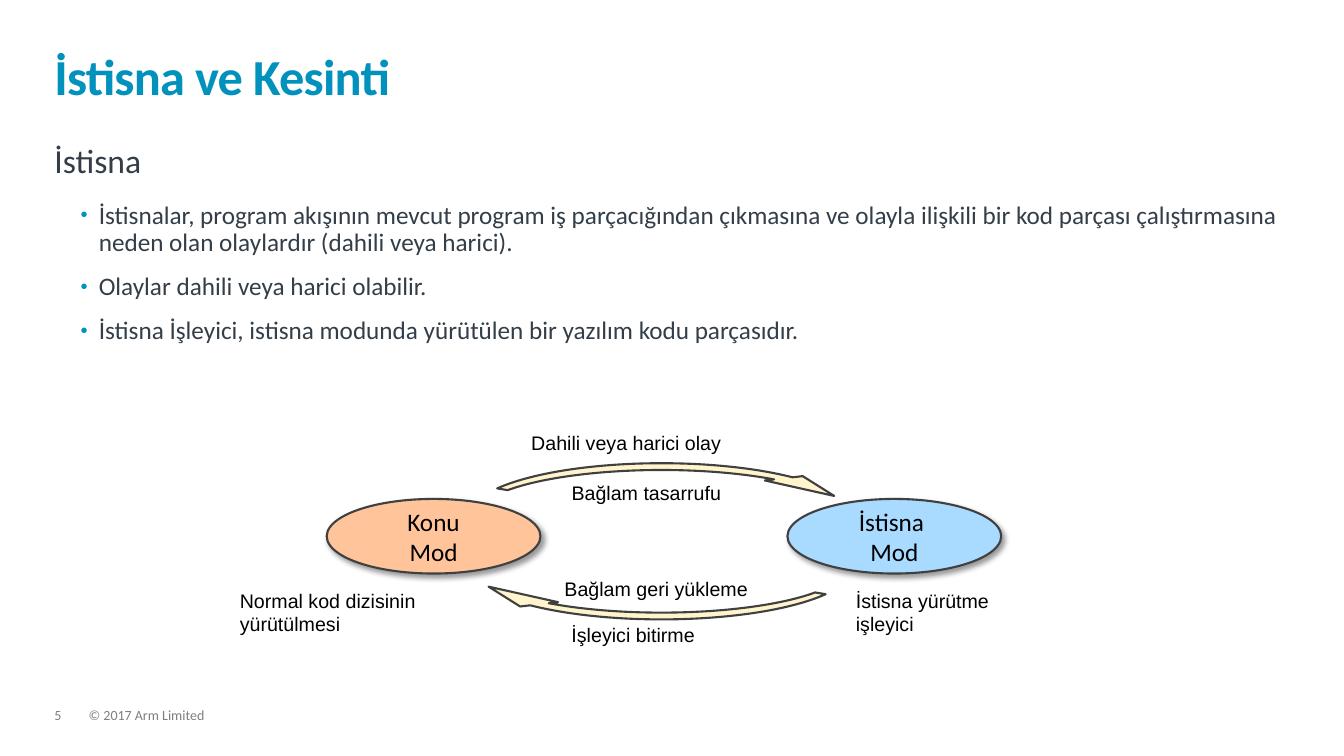
from dataclasses import dataclass

import pptx
import pptx.dml.color
import pptx.enum.shapes
import pptx.enum.text
import pptx.oxml
import pptx.oxml.ns
import pptx.util

Inches = pptx.util.Inches
Pt = pptx.util.Pt
MSO_SHAPE = pptx.enum.shapes.MSO_SHAPE
MSO_ANCHOR = pptx.enum.text.MSO_ANCHOR
PP_ALIGN = pptx.enum.text.PP_ALIGN
MSO_AUTO_SIZE = pptx.enum.text.MSO_AUTO_SIZE

BLUE = "0091BD"
SLATE = "333E48"
GREY = "7F7F7F"
BLACK = "000000"
OUTLINE = "404040"
ARROW_FILL = "FFF4CC"


@dataclass
class Label:
    text: str
    left: float
    top: float
    width: float
    height: float = 0.34


@dataclass
class Mode:
    text: str
    left: float
    fill: str


@dataclass
class Arrow:
    top: float
    rotation: float


FOOTERS = [
    Label("© 2017 Arm Limited", 0.88, 7.03, 9.13, 0.15),
    Label("5", 0.54, 7.03, 0.34, 0.15),
]
TITLE = Label("İstisna ve Kesinti", 0.54, 0.32, 12.23, 0.73)
BODY = Label(
    "İstisna\n"
    "İstisnalar, program akışının mevcut program iş parçacığından çıkmasına "
    "ve olayla ilişkili bir kod parçası çalıştırmasına neden olan olaylardır "
    "(dahili veya harici).\n"
    "Olaylar dahili veya harici olabilir.\n"
    "İstisna İşleyici, istisna modunda yürütülen bir yazılım kodu parçasıdır.",
    0.54, 1.43, 12.23, 4.83,
)
MODES = [
    Mode("Konu\nMod", 3.24, "FFC499"),
    Mode("İstisna \nMod", 7.81, "A8DBFF"),
]
ARROWS = [Arrow(4.44, 0), Arrow(4.95, 180)]
LABELS = [
    Label("Dahili veya harici olay", 5.17, 4.23, 3.32),
    Label("İstisna yürütme\nişleyici", 8.39, 5.79, 3.08, 0.57),
    Label("Normal kod dizisinin yürütülmesi", 2.28, 5.79, 2.52, 0.57),
    Label("İşleyici bitirme", 5.57, 6.13, 2.5),
    Label("Bağlam tasarrufu", 5.57, 4.72, 2.51),
    Label("Bağlam geri yükleme", 5.5, 5.67, 2.51),
]


def rgb(color: str) -> pptx.dml.color.RGBColor:
    return pptx.dml.color.RGBColor.from_string(color)


def add_xml(parent, xml: str) -> None:
    tag, rest = xml.split(" ", 1)
    ns = pptx.oxml.ns.nsdecls("a")
    parent.append(pptx.oxml.parse_xml(f"<a:{tag} {ns} {rest}"))


def style(p, size: float, color: str, font: str = "Calibri", bold: bool = False) -> None:
    for r in p.runs:
        r.font.name = font
        r.font.size = Pt(size)
        r.font.bold = bold
        r.font.color.rgb = rgb(color)


def add_text(s, label: Label, margin: bool = False, grow: bool = False):
    sp = s.shapes.add_textbox(
        Inches(label.left), Inches(label.top), Inches(label.width), Inches(label.height)
    )
    tf = sp.text_frame
    tf.word_wrap = True
    if grow:
        tf.auto_size = MSO_AUTO_SIZE.SHAPE_TO_FIT_TEXT
    if not margin:
        tf.margin_left = tf.margin_top = tf.margin_right = tf.margin_bottom = 0
    tf.text = label.text
    return tf


def add_footer(s, label: Label) -> None:
    p = add_text(s, label, grow=True).paragraphs[0]
    p.line_spacing = 0.9
    p.space_after = Pt(6)
    style(p, 10, GREY)


def add_title(s, label: Label) -> None:
    tf = add_text(s, label)
    tf.vertical_anchor = MSO_ANCHOR.BOTTOM
    p = tf.paragraphs[0]
    p.line_spacing = 0.85
    style(p, 36, BLUE, bold=True)
    p.runs[0].font._element.set("spc", "-50")


def add_body(s, label: Label) -> None:
    heading, *bullets = add_text(s, label).paragraphs
    heading.line_spacing = 0.9
    heading.space_after = Pt(16)
    style(heading, 24, SLATE)
    for p in bullets:
        p.level = 1
        p.line_spacing = 0.9
        p.space_after = Pt(12)
        pPr = p._p.get_or_add_pPr()
        pPr.set("marL", str(Inches(0.44)))
        pPr.set("indent", str(Inches(-0.18)))
        add_xml(pPr, f'buClr ><a:srgbClr val="{BLUE}"/></a:buClr>')
        add_xml(pPr, 'buSzPct val="80000"/>')
        add_xml(pPr, 'buFont typeface="Arial"/>')
        add_xml(pPr, 'buChar char="•"/>')
        style(p, 18, SLATE)


def add_outlined(s, kind, left: float, top: float, width: float, height: float, fill: str):
    sp = s.shapes.add_shape(kind, Inches(left), Inches(top), Inches(width), Inches(height))
    sp.fill.solid()
    sp.fill.fore_color.rgb = rgb(fill)
    sp.line.color.rgb = rgb(OUTLINE)
    sp.line.width = Pt(1.5)
    sp.shadow.inherit = False
    return sp


def add_mode(s, mode: Mode) -> None:
    sp = add_outlined(s, MSO_SHAPE.OVAL, mode.left, 4.95, 2.12, 0.74, mode.fill)
    effects = sp._element.spPr.find(pptx.oxml.ns.qn("a:effectLst"))
    add_xml(
        effects,
        f'outerShdw blurRad="{Pt(4)}" dist="{Pt(3)}" dir="2700000" algn="tl" rotWithShape="0">'
        f'<a:srgbClr val="{BLACK}"><a:alpha val="40000"/></a:srgbClr></a:outerShdw>',
    )
    tf = sp.text_frame
    tf.word_wrap = False
    tf.vertical_anchor = MSO_ANCHOR.MIDDLE
    tf.text = mode.text
    for p in tf.paragraphs:
        p.alignment = PP_ALIGN.CENTER
        style(p, 18, BLACK)


def add_arrow(s, arrow: Arrow) -> None:
    sp = add_outlined(s, MSO_SHAPE.CIRCULAR_ARROW, 4.5, arrow.top, 4.12, 1.35, ARROW_FILL)
    for i, value in enumerate((0.05, 6.28, 205.83, 113.64, 0.14)):
        sp.adjustments[i] = value
    sp.rotation = arrow.rotation


def add_label(s, label: Label) -> None:
    for p in add_text(s, label, margin=True, grow=True).paragraphs:
        style(p, 14, BLACK, "Arial")


def main() -> None:
    prs = pptx.Presentation()
    prs.slide_width = Inches(13.33)
    prs.slide_height = Inches(7.5)
    s = prs.slides.add_slide(prs.slide_layouts[6])
    for footer in FOOTERS:
        add_footer(s, footer)
    add_title(s, TITLE)
    add_body(s, BODY)
    for mode in MODES:
        add_mode(s, mode)
    for arrow in ARROWS:
        add_arrow(s, arrow)
    for label in LABELS:
        add_label(s, label)
    prs.save("out.pptx")


if __name__ == "__main__":
    main()
